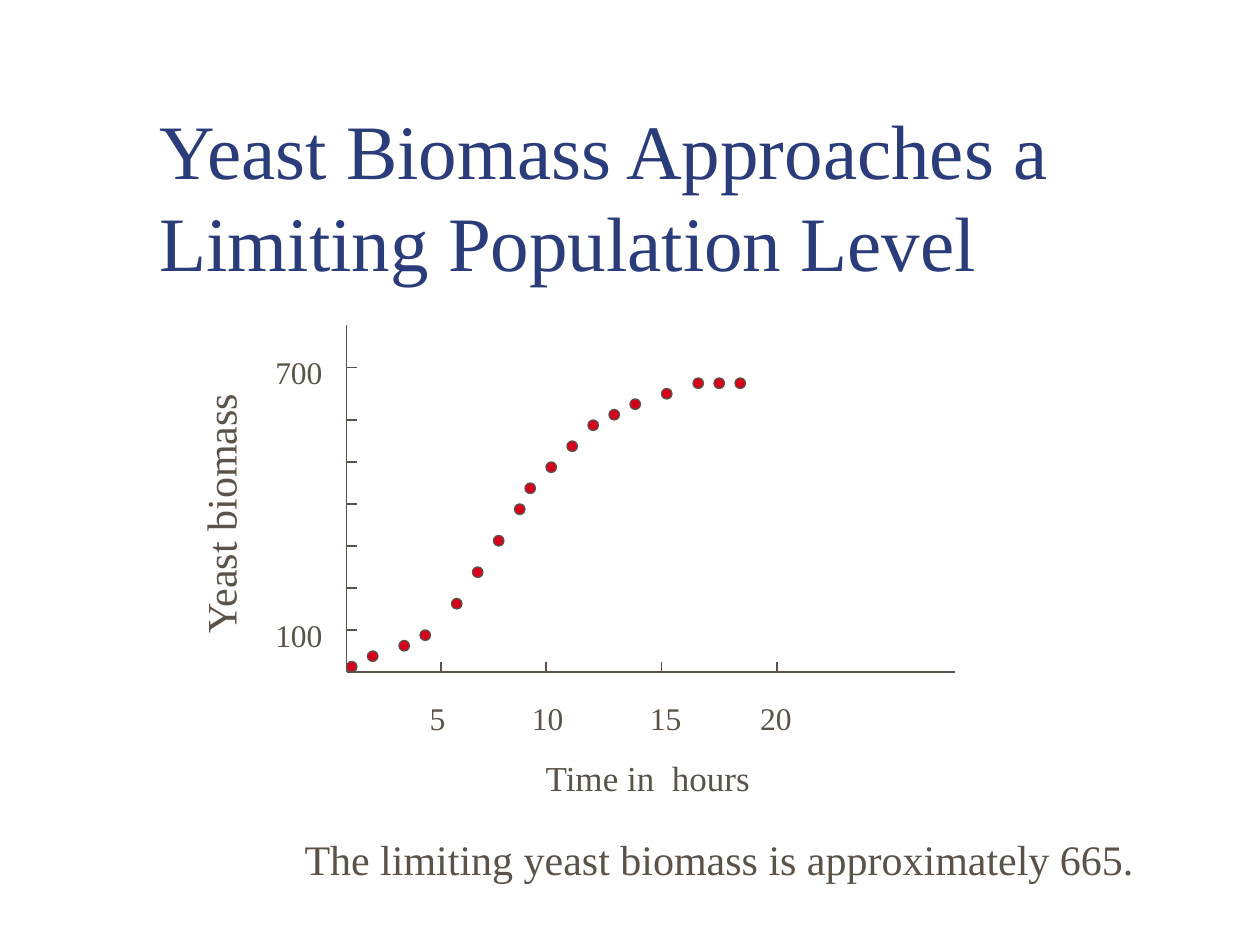
from lxml.etree import SubElement
from pptx import Presentation
from pptx.dml.color import RGBColor
from pptx.enum.shapes import MSO_CONNECTOR, MSO_SHAPE
from pptx.enum.text import MSO_ANCHOR
from pptx.oxml.ns import qn
from pptx.util import Cm, Pt

FONT = "Times New Roman"
NAVY, BROWN, RED = "2A3D7A", "5B5249", "D9001C"

TITLE = "Yeast Biomass Approaches a Limiting Population Level"
X_TITLE = "Time in  hours"
Y_TITLE = "Yeast biomass"
CONCLUSION = "The limiting yeast biomass is approximately 665."
Y_LABELS = ["700", "100"]
X_LABELS = ["5", "10", "15", "20"]
X_LABEL_CENTRES = [0.31, 2.53, 4.91, 7.13]  # cm from the start of the text

# The plot lies on a grid of 1/12 inch, counted from the origin of the axes
GRID = 2.54 / 12
ORIGIN_X, ORIGIN_Y = 33, 64
AXIS_WIDTH, AXIS_HEIGHT = 58, 33
X_TICKS = [9, 19, 30, 41]
Y_TICKS = [4, 8, 12, 16, 20, 24, 29]
DOTS = [(0, 0), (2, 1), (5, 2), (7, 3), (10, 6), (12, 9), (14, 12), (16, 15),
        (17, 17), (19, 19), (21, 21), (23, 23), (25, 24), (27, 25), (30, 26),
        (33, 27), (35, 27), (37, 27)]


def color(hex_string):
    return RGBColor.from_string(hex_string)


def grid_point(x, y):
    return Cm((ORIGIN_X + x) * GRID), Cm((ORIGIN_Y - y) * GRID)


def add_line(slide, start, end):
    line = slide.shapes.add_connector(
        MSO_CONNECTOR.STRAIGHT, *grid_point(*start), *grid_point(*end))
    line.line.color.rgb = color(BROWN)
    line.line.width = Pt(0.75)
    SubElement(line._element.spPr, qn("a:effectLst"))


def add_dot(slide, x, y):
    """Draw a dot whose bounding square has its lower left corner at x, y."""
    dot = slide.shapes.add_shape(
        MSO_SHAPE.OVAL, *grid_point(x, y + 1), Cm(GRID), Cm(GRID))
    dot.shadow.inherit = False
    dot.fill.solid()
    dot.fill.fore_color.rgb = color(RED)
    dot.line.color.rgb = color(BROWN)
    dot.line.width = Pt(0.75)


def add_text(slide, box, lines, size, hex_string=BROWN, wrap=False):
    shape = slide.shapes.add_textbox(*(Cm(length) for length in box))
    frame = shape.text_frame
    frame.word_wrap = wrap
    for index, line in enumerate(lines):
        paragraph = frame.add_paragraph() if index else frame.paragraphs[0]
        run = paragraph.add_run()
        run.text = line
        run.font.name = FONT
        run.font.size = Pt(size)
        run.font.color.rgb = color(hex_string)
    return shape


def set_centred_tabs(paragraph, positions):
    tab_list = SubElement(paragraph._p.get_or_add_pPr(), qn("a:tabLst"))
    for position in positions:
        SubElement(tab_list, qn("a:tab"), pos=str(Cm(position)), algn="ctr")


def main():
    presentation = Presentation()
    presentation.slide_width, presentation.slide_height = Cm(25.4), Cm(19.05)
    slide = presentation.slides.add_slide(presentation.slide_layouts[6])

    title = add_text(slide, (2.97, 2.34, 21.59, 3.18), [TITLE], 44, NAVY, True)
    title.text_frame.vertical_anchor = MSO_ANCHOR.MIDDLE

    add_line(slide, (0, 0), (0, AXIS_HEIGHT))
    add_line(slide, (0, 0), (AXIS_WIDTH, 0))
    for x in X_TICKS:
        add_line(slide, (x, 0), (x, 1))
    for y in Y_TICKS:
        add_line(slide, (0, y), (1, y))
    for x, y in DOTS:
        add_dot(slide, x, y)

    x_text = "".join("\t" + label for label in X_LABELS)
    x_labels = add_text(slide, (8.26, 13.97, 8.89, 1.02), [x_text], 18, wrap=True)
    set_centred_tabs(x_labels.text_frame.paragraphs[0], X_LABEL_CENTRES)

    y_labels = add_text(slide, (5.3, 6.99, 1.6, 6.35), Y_LABELS, 18, wrap=True)
    y_labels.text_frame.paragraphs[1].space_before = Pt(129)

    add_text(slide, (10.75, 15.12, 4.65, 1.12), [X_TITLE], 20)
    y_title = add_text(slide, (1.73, 9.68, 5.41, 1.27), [Y_TITLE], 24)
    y_title.rotation = 270
    add_text(slide, (5.89, 16.68, 17.22, 1.27), [CONCLUSION], 24)

    presentation.save("out.pptx")


if __name__ == "__main__":
    main()
